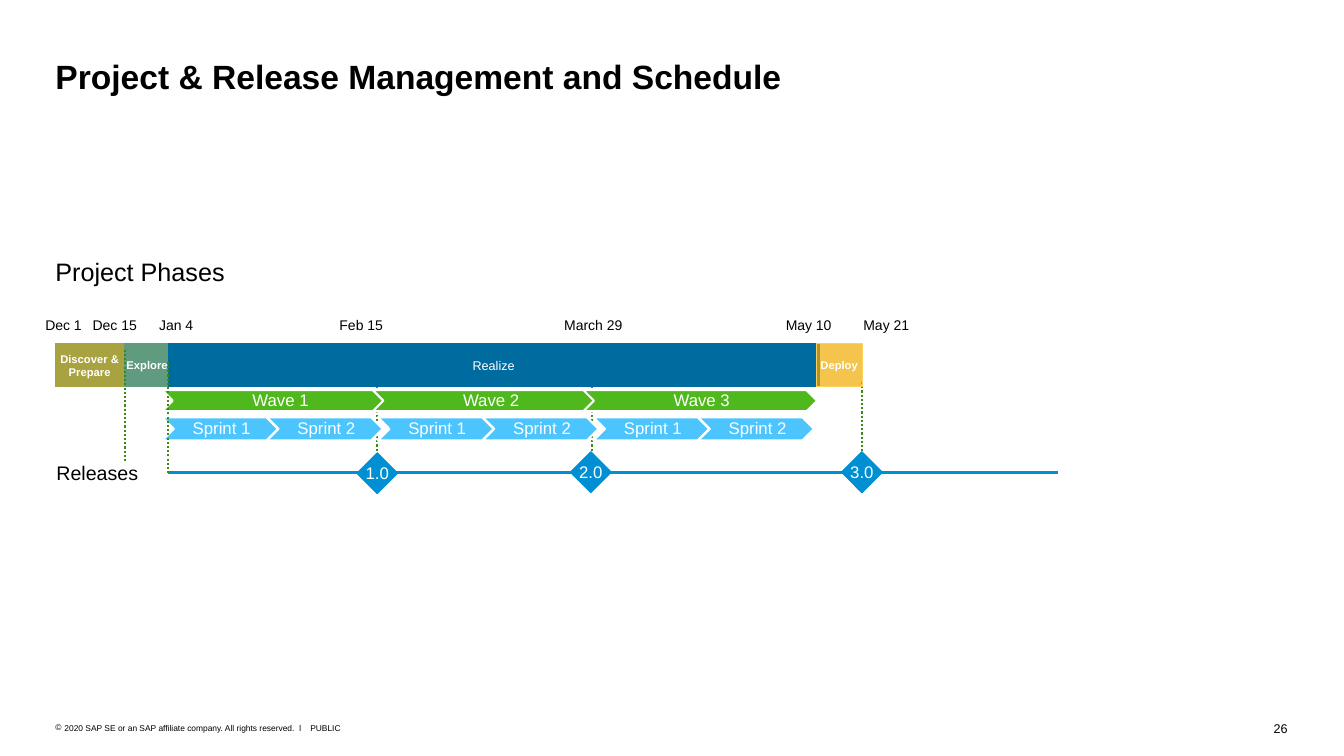
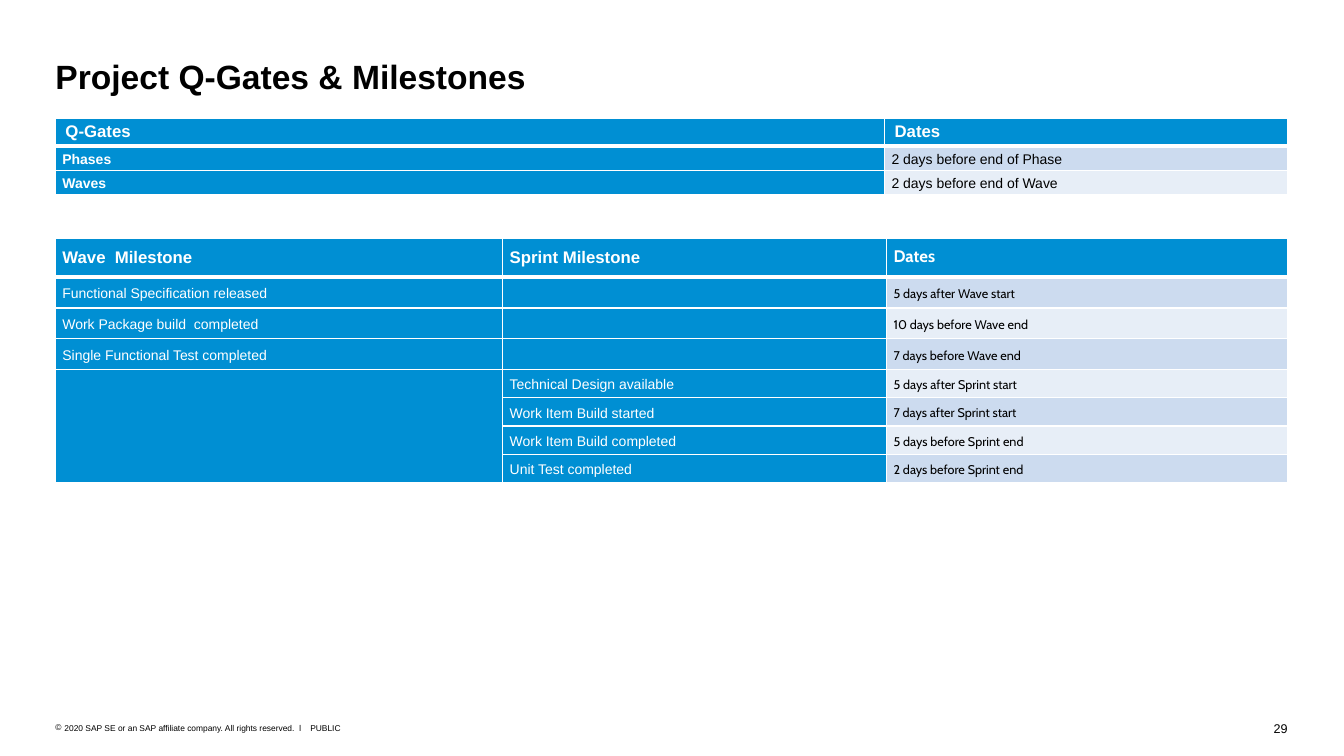
"""Build a project schedule slide and a Q-gates and milestones slide."""
from dataclasses import dataclass

from lxml import etree
from pptx import Presentation
from pptx.dml.color import RGBColor
from pptx.enum.dml import MSO_LINE
from pptx.enum.shapes import MSO_CONNECTOR, MSO_SHAPE
from pptx.enum.text import MSO_ANCHOR, MSO_AUTO_SIZE, PP_ALIGN
from pptx.oxml.ns import qn
from pptx.util import Inches, Pt

LEFT, CENTER, RIGHT = PP_ALIGN.LEFT, PP_ALIGN.CENTER, PP_ALIGN.RIGHT
TOP, MIDDLE = MSO_ANCHOR.TOP, MSO_ANCHOR.MIDDLE
RECT, DIAMOND, CHEVRON = MSO_SHAPE.RECTANGLE, MSO_SHAPE.DIAMOND, MSO_SHAPE.CHEVRON
STRAIGHT, DOTTED = MSO_CONNECTOR.STRAIGHT, MSO_LINE.ROUND_DOT
NO_AUTOSIZE = MSO_AUTO_SIZE.NONE


@dataclass(frozen=True)
class Theme:
    """Colours, fonts and type sizes of the deck."""
    black: str = "000000"
    white: str = "FFFFFF"
    blue: str = "008FD3"
    navy: str = "006B9E"
    sky: str = "4CC5FF"
    green: str = "4FB81C"
    dots: str = "3B8A15"
    olive: str = "A8A340"
    sage: str = "609A7F"
    amber: str = "F0AB00"
    amber_line: str = "FFD05D"
    bands: tuple = ("CCDBEF", "E7EEF7")
    font: str = "Arial"
    alt_font: str = "Cabin"
    title: int = 24
    heading: int = 18
    subheading: int = 14
    label: int = 12
    body: int = 10
    small: int = 9
    phase: int = 8
    footer: int = 6


T = Theme()
MARGIN, CONTENT_W = 0.55, 12.23

COPYRIGHT = "2020 SAP SE or an SAP affiliate company. All rights reserved.  ǀ"
CLASSIFICATION = "PUBLIC"

DATES = [("Dec 1", 0.45, 0.36), ("Dec 15", 0.92, 0.44), ("Jan 4", 1.58, 0.34),
         ("Feb 15", 3.37, 0.43), ("March 29", 5.6, 0.58),
         ("May 10", 7.8, 0.46), ("May 21", 8.57, 0.46)]
HEADINGS = [("Project Phases", (0.55, 2.54, 1.7, 0.3), T.heading),
            ("Releases", (0.56, 4.57, 0.82, 0.24), T.subheading)]
PHASES = [("Discover &\nPrepare", 0.55, 0.68, T.olive, T.olive, T.phase, True),
          ("Explore", 1.24, 0.44, T.sage, T.sage, T.phase, True),
          ("Realize", 1.67, 6.46, T.navy, T.navy, T.small, False),
          ("Deploy", 8.1, 0.46, T.amber, T.amber_line, T.phase, True)]
WAVES = ["Wave 1", "Wave 2", "Wave 3"]
SPRINTS = ["Sprint 1", "Sprint 2"]
RELEASES = [("1.0", 3.54, 4.49), ("2.0", 5.66, 4.48), ("3.0", 8.35, 4.48)]
RELEASE_MARKS = [(5.88, 3.7, 4.81), (8.56, 3.79, 4.89), (3.74, 3.7, 4.81)]
PHASE_MARKS = [(1.24, 3.47, 4.57), (1.67, 3.59, 4.69)]

Q_GATES = {
    "top": 1.17, "cols": [8.23, 4], "heights": [0.28, 0.24, 0.24],
    "header_pad": 0.1, "label_bold": True, "date_font": T.font, "date_size": T.body,
    "rows": [("Q-Gates", "Dates"),
             ("Phases", "2 days before end of Phase"),
             ("Waves", "2 days before end of Wave")],
}
MILESTONES = {
    "top": 2.37, "cols": [4.44, 3.81, 3.98], "heights": [0.38] + [0.28] * 7,
    "header_pad": 0.07, "label_bold": False, "date_font": T.alt_font, "date_size": T.small,
    "rows": [("Wave  Milestone", "Sprint Milestone", "Dates"),
             ("Functional Specification released", "", "5 days after Wave start"),
             ("Work Package build  completed", "", "10 days before Wave end"),
             ("Single Functional Test completed", "", "7 days before Wave end"),
             ("", "Technical Design available", "5 days after Sprint start"),
             ("", "Work Item Build started", "7 days after Sprint start"),
             ("", "Work Item Build completed", "5 days before Sprint end"),
             ("", "Unit Test completed", "2 days before Sprint end")],
}


def rgb(value):
    """Turn a hex string into a colour."""
    return RGBColor.from_string(value)


def write(tf, text, size, color=T.black, bold=False, font=T.font, align=LEFT):
    """Put one formatted paragraph in a text frame and return it."""
    p = tf.paragraphs[0]
    p.text = text
    p.alignment = align
    for r in p.runs:
        r.font.name, r.font.size, r.font.bold = font, Pt(size), bold
        r.font.color.rgb = rgb(color)
    return p


def set_frame(tf, anchor=TOP, wrap=False):
    """Clear the insets and set anchor and wrapping."""
    tf.margin_left = tf.margin_top = tf.margin_right = tf.margin_bottom = 0
    tf.vertical_anchor, tf.word_wrap, tf.auto_size = anchor, wrap, NO_AUTOSIZE


def add_label(slide, text, box, size, align=LEFT, wrap=False):
    """Add a plain text box and return its paragraph."""
    tf = slide.shapes.add_textbox(*map(Inches, box)).text_frame
    set_frame(tf, wrap=wrap)
    return write(tf, text, size, align=align)


def add_block(slide, kind, text, box, fill, line, weight, size, bold=False):
    """Add a filled shape with centred white text."""
    sp = slide.shapes.add_shape(kind, *map(Inches, box))
    sp.shadow.inherit = False
    sp.fill.solid()
    sp.fill.fore_color.rgb = rgb(fill)
    sp.line.color.rgb = rgb(line)
    sp.line.width = Pt(weight)
    set_frame(sp.text_frame, MIDDLE)
    write(sp.text_frame, text, size, T.white, bold, align=CENTER)
    return sp


def add_line(slide, x1, y1, x2, y2, color, weight, dash=None):
    """Add a straight line without a shadow."""
    line = slide.shapes.add_connector(STRAIGHT, *map(Inches, (x1, y1, x2, y2)))
    line.line.color.rgb = rgb(color)
    line.line.width = Pt(weight)
    if dash is not None:
        line.line.dash_style = dash
    etree.SubElement(line.element.spPr, qn("a:effectLst"))


def add_marks(slide, marks):
    """Add vertical dotted date marks."""
    for x, top, bottom in marks:
        add_line(slide, x, top, x, bottom, T.dots, 1.5, DOTTED)


def add_slide(prs, title, number):
    """Add a slide with the shared title and footer."""
    slide = prs.slides.add_slide(prs.slide_layouts[5])
    sp = slide.shapes.title
    sp.left, sp.top = Inches(MARGIN), Inches(0.55)
    sp.width, sp.height = Inches(CONTENT_W), Inches(0.4)
    set_frame(sp.text_frame, wrap=True)
    write(sp.text_frame, title, T.title, bold=True)

    p = add_label(slide, COPYRIGHT, (MARGIN, 7.17, 2.48, 0.1), T.footer, wrap=True)
    pPr = p._p.get_or_add_pPr()
    pPr.set("marL", str(Inches(0.09)))
    pPr.set("indent", str(-Inches(0.09)))
    color = etree.SubElement(pPr, qn("a:buClr"))
    etree.SubElement(color, qn("a:srgbClr"), val=T.black)
    etree.SubElement(pPr, qn("a:buFont"), typeface=T.font)
    etree.SubElement(pPr, qn("a:buChar"), char="©")
    add_label(slide, CLASSIFICATION, (3.08, 7.17, 0.31, 0.1), T.footer)
    add_label(slide, number, (12.63, 7.15, 0.15, 0.15), T.small, RIGHT)
    return slide


def set_borders(cell, header):
    """Draw white cell borders, with a heavy rule below the header."""
    sides = {"lnL": 1, "lnR": 1, "lnT": 1, "lnB": 3} if header else {"lnL": 1, "lnR": 1, "lnB": 1}
    tcPr = cell._tc.get_or_add_tcPr()
    for side, weight in sides.items():
        ln = etree.SubElement(tcPr, qn(f"a:{side}"), w=str(Pt(weight)))
        fill = etree.SubElement(ln, qn("a:solidFill"))
        etree.SubElement(fill, qn("a:srgbClr"), val=T.white)


def add_grid(slide, data):
    """Add a table with blue labels and banded dates, and return it."""
    rows, cols, heights = data["rows"], data["cols"], data["heights"]
    box = (MARGIN, data["top"], sum(cols), sum(heights))
    table = slide.shapes.add_table(len(rows), len(cols), *map(Inches, box)).table
    table.horz_banding = False
    for col, width in zip(table.columns, cols):
        col.width = Inches(width)
    for i, (row, height) in enumerate(zip(rows, heights)):
        table.rows[i].height = Inches(height)
        header = i == 0
        for j, text in enumerate(row):
            cell = table.cell(i, j)
            is_date = j == len(cols) - 1
            banded = is_date and not header
            set_borders(cell, header)
            cell.fill.solid()
            cell.fill.fore_color.rgb = rgb(T.bands[(i - 1) % 2] if banded else T.blue)
            cell.vertical_anchor = MIDDLE
            cell.margin_left = cell.margin_right = Inches(data["header_pad"] if header else 0.07)
            cell.margin_top = cell.margin_bottom = 0
            size = T.label if header else data["date_size"] if is_date else T.body
            p = write(cell.text_frame, text, size, T.black if banded else T.white,
                      header or (data["label_bold"] and not is_date),
                      data["date_font"] if is_date else T.font)
            p.line_spacing = Pt(13)
    return table


def build_schedule(prs):
    """Build the timeline of phases, waves, sprints and releases."""
    slide = add_slide(prs, "Project & Release Management and Schedule", "26")
    add_marks(slide, RELEASE_MARKS)
    add_line(slide, 1.67, 4.69, 10.5, 4.69, T.blue, 2.25)
    for text, x, width, fill, line, size, bold in PHASES:
        sp = add_block(slide, RECT, text, (x, 3.41, width, 0.43), fill, line, 0.75, size, bold)
        if fill == T.amber:
            color = sp.element.spPr.find(qn("a:solidFill")).find(qn("a:srgbClr"))
            etree.SubElement(color, qn("a:alpha"), val="70000")
    for text, x, y in RELEASES:
        add_block(slide, DIAMOND, text, (x, y, 0.41, 0.41), T.blue, T.blue, 0.5, T.label)
    for text, box, size in HEADINGS:
        add_label(slide, text, box, size)
    for text, x, width in DATES:
        add_label(slide, text, (x, 3.14, width, 0.17), T.body)

    steps = []
    for i, wave in enumerate(WAVES):
        steps.append((wave, (1.61 + 2.09 * i, 3.87, 2.32, 0.21), T.green))
        steps += [(sprint, (1.61 + 2.14 * i + 1.04 * j, 4.14, 1.15, 0.23), T.sky)
                  for j, sprint in enumerate(SPRINTS)]
    for text, box, fill in steps:
        sp = add_block(slide, CHEVRON, text, box, fill, T.white, 1.5, T.label)
        sp.text_frame.margin_left = Inches(0.03)
        sp.text_frame.paragraphs[0].line_spacing = 0.9
    add_marks(slide, PHASE_MARKS)


def build_milestones(prs):
    """Build the two tables of gates and milestones."""
    slide = add_slide(prs, "Project Q-Gates & Milestones", "29")
    table = add_grid(slide, MILESTONES)
    table.cell(4, 0).merge(table.cell(7, 0))
    add_grid(slide, Q_GATES)


def main():
    """Build and save the deck."""
    prs = Presentation()
    prs.slide_width, prs.slide_height = Inches(13.34), Inches(7.5)
    build_schedule(prs)
    build_milestones(prs)
    prs.save("out.pptx")


if __name__ == "__main__":
    main()
